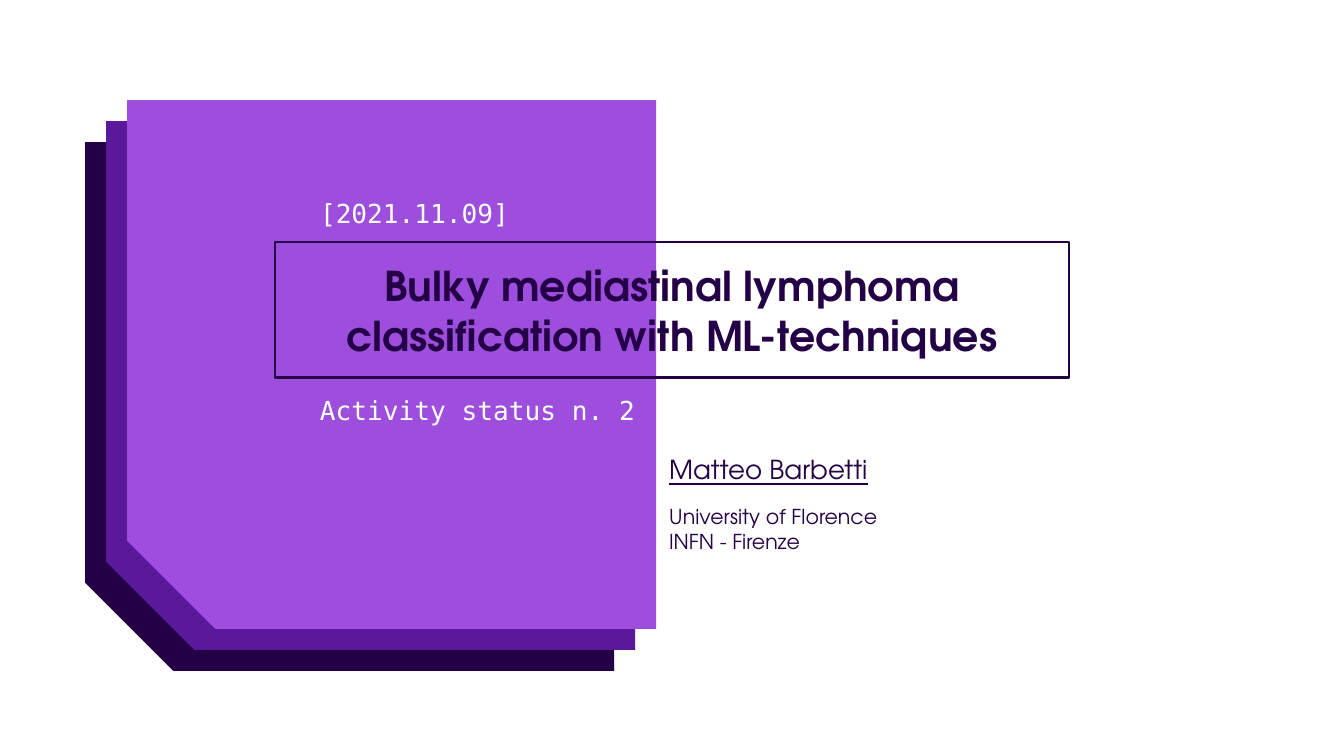
from pptx import Presentation
from pptx.dml.color import RGBColor
from pptx.enum.shapes import MSO_SHAPE as Shape
from pptx.enum.text import MSO_ANCHOR as Anchor, MSO_AUTO_SIZE as Fit, PP_ALIGN as Align
from pptx.util import Pt

SCALE = 914400 / 134.4
DARK, MID, LIGHT, WHITE = "240046", "5A189A", "9D4EDD", "FFFFFF"
SANS, MONO = "TeX Gyre Adventor", "DejaVu Sans Mono"


def px(*nums):
    return [round(n * SCALE) for n in nums]


def color(code):
    return RGBColor.from_string(code)


def setup(frame, side=13, edge=13, anchor=Anchor.TOP, fit=Fit.NONE):
    frame.word_wrap = True
    frame.auto_size = fit
    frame.vertical_anchor = anchor
    frame.margin_left, frame.margin_right = px(side, side)
    frame.margin_top, frame.margin_bottom = px(edge, edge)
    return frame


def write(frame, text, size=14, font=SANS, ink=DARK, bold=False,
          under=False, align=Align.LEFT, before=0):
    para = frame.paragraphs[0]
    if para.runs:
        para = frame.add_paragraph()
    para.alignment = align
    para.space_before = Pt(before)
    run = para.add_run()
    run.text = text
    run.font.size = Pt(size)
    run.font.name = font
    run.font.bold = bold
    run.font.underline = under
    run.font.color.rgb = color(ink)


def layer(slide, left, top, side, fill):
    shape = slide.shapes.add_shape(
        Shape.SNIP_1_RECTANGLE, *px(left, top, side, side))
    shape.shadow.inherit = False
    shape.adjustments[0] = 0.167
    shape.rotation = 180
    shape.fill.solid()
    shape.fill.fore_color.rgb = color(fill)
    shape.line.fill.background()


def frame_box(slide, *box):
    shape = slide.shapes.add_shape(Shape.RECTANGLE, *px(*box))
    shape.shadow.inherit = False
    shape.fill.background()
    shape.line.color.rgb = color(DARK)
    shape.line.width = Pt(1.5)
    return setup(shape.text_frame, edge=7, anchor=Anchor.MIDDLE)


def text_box(slide, *box, **style):
    return setup(slide.shapes.add_textbox(*px(*box)).text_frame, **style)


def main():
    deck = Presentation()
    deck.slide_width, deck.slide_height = px(1344, 756)
    slide = deck.slides.add_slide(deck.slide_layouts[6])

    for i, fill in enumerate((DARK, MID, LIGHT)):
        layer(slide, 85 + 21 * i, 142 - 21 * i, 529, fill)

    title = frame_box(slide, 275, 242, 794, 136)
    write(title, "Bulky mediastinal lymphoma classification with ML-techniques",
          size=22, bold=True, align=Align.CENTER)

    for text, top, width in (("[2021.11.09]", 184, 284),
                             ("Activity status n. 2", 381, 349)):
        label = text_box(slide, 307, top, width, 59, fit=Fit.SHAPE_TO_FIT_TEXT)
        write(label, text, font=MONO, ink=WHITE)

    author = text_box(slide, 656, 378, 413, 251, anchor=Anchor.MIDDLE)
    write(author, "Matteo Barbetti", under=True)
    write(author, "University of Florence", size=11, before=10)
    write(author, "INFN - Firenze", size=11)

    deck.save("out.pptx")


if __name__ == "__main__":
    main()
